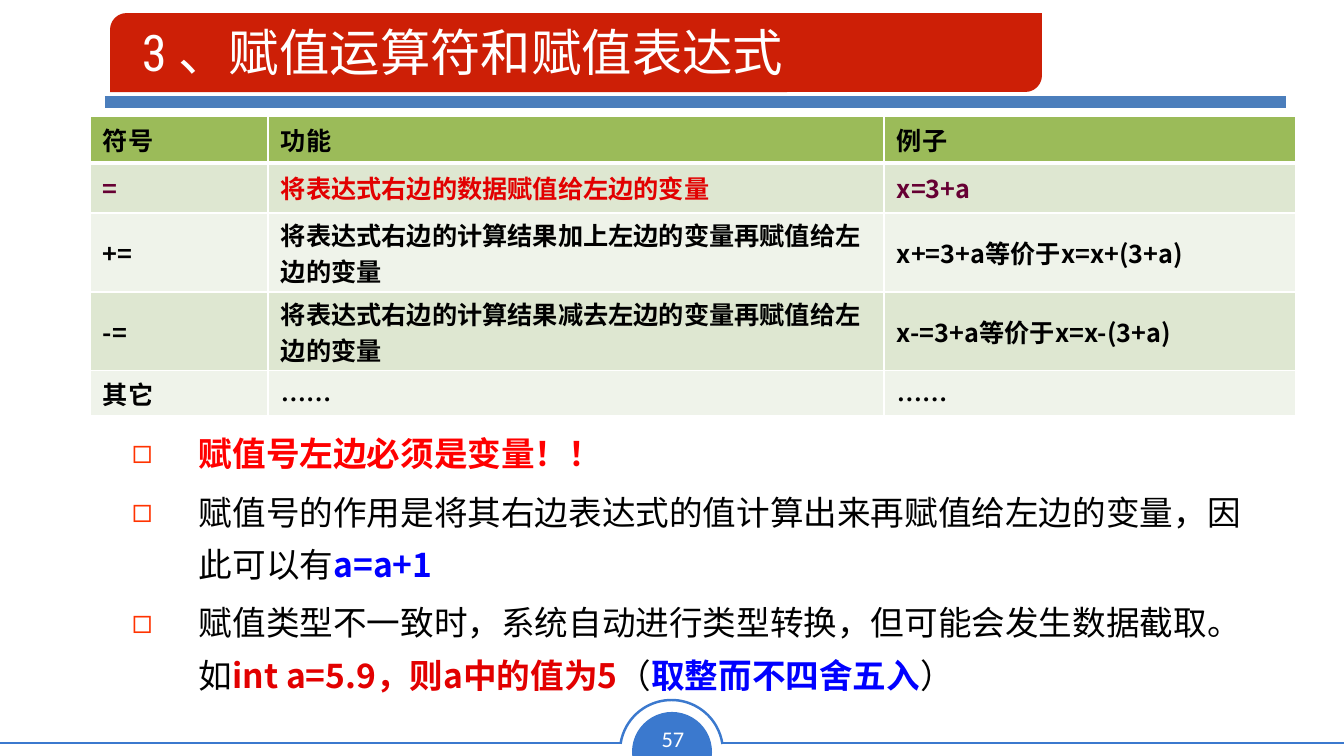
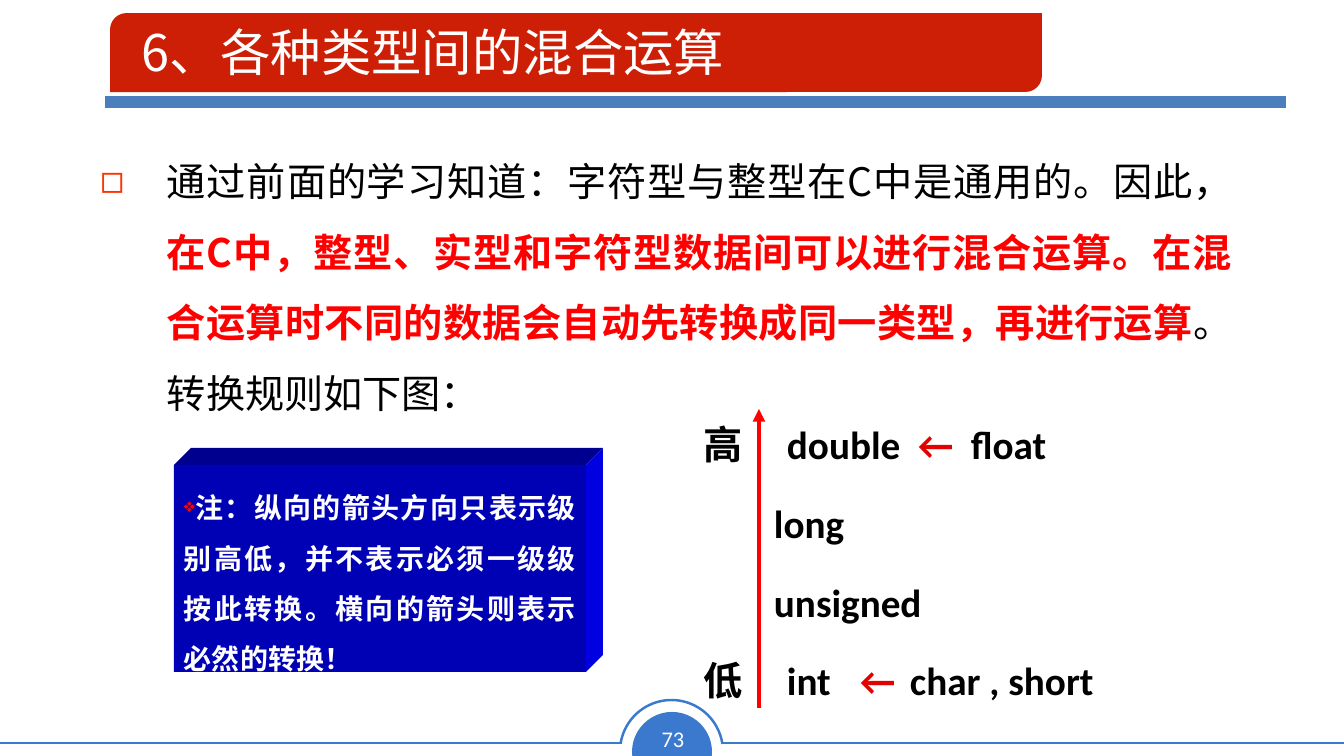
import pptx
import pptx.dml.color
import pptx.enum.dml
import pptx.enum.shapes
import pptx.enum.text
import pptx.oxml
import pptx.oxml.ns
import pptx.util

EMU_PER_PX = 914400 / 100.8
SLIDE_WIDTH, SLIDE_HEIGHT = 1344, 756
CJK_FONT = "Noto Sans CJK SC"
COLORS = {
    "white": "FFFFFF", "black": "000000", "red": "FF0000", "crimson": "E20000",
    "maroon": "660033", "blue": "0000FF", "bullet": "FF3300",
    "banner": "CD1F06", "rule": "4B7EBC", "footer": "3B79CE",
    "header_row": "9BBB59", "odd_row": "DEE7D1", "even_row": "EFF3EA",
    "note_front": "0000B4", "note_top": "00008F", "note_side": "0000E0",
}
SHAPES = pptx.enum.shapes.MSO_SHAPE
ALIGN = pptx.enum.text.PP_ALIGN
ANCHOR = pptx.enum.text.MSO_ANCHOR


def px(length):
    return pptx.util.Emu(round(length * EMU_PER_PX))


def rgb(name):
    return pptx.dml.color.RGBColor.from_string(COLORS[name])


def make_element(tag, **attributes):
    element = pptx.oxml.parse_xml(f"<a:{tag} {pptx.oxml.ns.nsdecls('a')}/>")
    for key, value in attributes.items():
        element.set(key, str(value))
    return element


def make_color(tag, color):
    """Return an element that wraps one sRGB colour."""
    element = make_element(tag)
    element.append(make_element("srgbClr", val=COLORS[color]))
    return element


def place(shape, left, top, width, height):
    shape.left, shape.top = px(left), px(top)
    shape.width, shape.height = px(width), px(height)


def paint(shape, fill=None, line=None, line_width=1.75):
    shape.shadow.inherit = False
    if fill:
        shape.fill.solid()
        shape.fill.fore_color.rgb = rgb(fill)
    else:
        shape.fill.background()
    if line:
        shape.line.color.rgb = rgb(line)
        shape.line.width = pptx.util.Pt(line_width)
    else:
        shape.line.fill.background()


def add_shape(slide, kind, box, adjustments=(), **style):
    shape = slide.shapes.add_shape(kind, *map(px, box))
    for index, value in enumerate(adjustments):
        shape.adjustments[index] = value
    paint(shape, **style)
    return shape


def add_polygon(slide, points, fill):
    corners = [(px(x), px(y)) for x, y in points]
    builder = slide.shapes.build_freeform(*corners[0])
    builder.add_line_segments(corners[1:], close=True)
    paint(builder.convert_to_shape(), fill=fill)


def add_line(slide, start, end, color, width, arrow=False):
    line = slide.shapes.add_connector(
        pptx.enum.shapes.MSO_CONNECTOR.STRAIGHT, *map(px, start + end))
    line.line.color.rgb = rgb(color)
    line.line.width = pptx.util.Pt(width)
    if arrow:
        line.line._get_or_add_ln().append(make_element("tailEnd", type="triangle"))
    line.element.spPr.append(make_element("effectLst"))


def set_frame(frame, insets=(10, 5, 10, 5), anchor=ANCHOR.TOP, wrap=True):
    frame.auto_size = pptx.enum.text.MSO_AUTO_SIZE.NONE
    frame.word_wrap = wrap
    frame.vertical_anchor = anchor
    (frame.margin_left, frame.margin_top,
     frame.margin_right, frame.margin_bottom) = map(px, insets)


def add_text(paragraph, text, size=18, color="black", bold=False, font=CJK_FONT):
    run = paragraph.add_run()
    run.text = text
    run.font.size = pptx.util.Pt(size)
    run.font.bold = bold
    run.font.color.rgb = rgb(color)
    run.font.name = font
    latin = run.font._element.find(pptx.oxml.ns.qn("a:latin"))
    latin.addnext(make_element("ea", typeface=CJK_FONT))


def set_bullet(paragraph, character, color, indent=0, percent=100):
    properties = paragraph._p.get_or_add_pPr()
    properties.set("marL", str(px(indent)))
    properties.set("indent", str(-px(indent)))
    properties.append(make_color("buClr", color))
    properties.append(make_element("buSzPct", val=percent * 1000))
    properties.append(make_element("buChar", char=character))


def set_tabs(paragraph, stops):
    tabs = make_element("tabLst")
    for stop in stops:
        tabs.append(make_element("tab", pos=px(stop), algn="l"))
    paragraph._p.get_or_add_pPr().append(tabs)


def next_paragraph(frame, index, line_height, space_before=0, align=ALIGN.LEFT):
    paragraph = frame.add_paragraph() if index else frame.paragraphs[0]
    paragraph.alignment = align
    paragraph.line_spacing = pptx.util.Pt(line_height)
    paragraph.space_before = pptx.util.Pt(space_before if index else 0)
    return paragraph


def add_footer(slide, number):
    line_y = 743
    add_shape(slide, SHAPES.CHORD, (632, 712, 80, 80), (35.77, 153.29),
              fill="footer").rotation = 112.4
    for start, end in ((723, SLIDE_WIDTH), (0, 621)):
        add_line(slide, (start, line_y), (end, line_y), "footer", 1.75)
    add_shape(slide, SHAPES.ARC, (620, 700, 103, 103), (113.17, 210.98), line="footer")
    box = slide.shapes.add_textbox(*map(px, (650, 720, 46, 37)))
    set_frame(box.text_frame, (0, 0, 0, 0), ANCHOR.MIDDLE, wrap=False)
    paragraph = box.text_frame.paragraphs[0]
    paragraph.alignment = ALIGN.CENTER
    add_text(paragraph, str(number), size=16, color="white", font="Calibri")


def add_slide(presentation, title, number, title_font=CJK_FONT):
    """Add a slide with the shared banner, rule, title and page number."""
    slide = presentation.slides.add_slide(presentation.slide_layouts[1])
    add_footer(slide, number)
    add_line(slide, (105, 102), (1286, 102), "rule", 8)
    add_shape(slide, SHAPES.ROUND_2_DIAG_RECTANGLE, (110, 13, 932, 79), (0.21, 0),
              fill="banner")
    heading = slide.shapes.title
    place(heading, 142, 20, 942, 62)
    set_frame(heading.text_frame, (0, 0, 0, 0), ANCHOR.MIDDLE)
    paragraph = heading.text_frame.paragraphs[0]
    paragraph.alignment = ALIGN.LEFT
    add_text(paragraph, title, size=36, color="white", font=title_font)
    heading.element.getparent().append(heading.element)
    return slide


def fill_body(slide, box, items, size, line_height, align=ALIGN.LEFT):
    """Fill the body placeholder; each item is a list of (text, colour, bold)."""
    body = slide.placeholders[1]
    place(body, *box)
    set_frame(body.text_frame)
    for index, item in enumerate(items):
        paragraph = next_paragraph(body.text_frame, index, line_height, size * 0.2, align)
        set_bullet(paragraph, "◻", "bullet", indent=67)
        for text, color, bold in item:
            add_text(paragraph, text, size=size, color=color, bold=bold)


def set_borders(cell, top, bottom):
    properties = cell._tc.get_or_add_tcPr()
    sides = (("lnL", 1), ("lnR", 1), ("lnT", top), ("lnB", bottom))
    for index, (tag, width) in enumerate(sides):
        border = make_element(tag, w=pptx.util.Pt(width))
        border.append(make_color("solidFill", "white"))
        properties.insert(index, border)


def add_operator_table(slide):
    columns = (178, 616, 412)
    heights = (47, 50, 79, 79, 45)
    rows = (
        ("符号", "功能", "例子"),
        ("=", "将表达式右边的数据赋值给左边的变量", "x=3+a"),
        ("+=", "将表达式右边的计算结果加上左边的变量再赋值给左边的变量",
         "x+=3+a等价于x=x+(3+a)"),
        ("-=", "将表达式右边的计算结果减去左边的变量再赋值给左边的变量",
         "x-=3+a等价于x=x-(3+a)"),
        ("其它", "……", "……"),
    )
    assignment_colors = ("maroon", "crimson", "maroon")
    table = slide.shapes.add_table(
        len(rows), len(columns),
        *map(px, (90, 116, sum(columns), sum(heights)))).table
    table.horz_banding = False
    for column, width in zip(table.columns, columns):
        column.width = px(width)
    for row_index, texts in enumerate(rows):
        table.rows[row_index].height = px(heights[row_index])
        row_fill = "odd_row" if row_index % 2 else "even_row"
        font = "Times New Roman" if row_index in (0, len(rows) - 1) else CJK_FONT
        for column_index, text in enumerate(texts):
            cell = table.cell(row_index, column_index)
            cell.fill.solid()
            cell.fill.fore_color.rgb = rgb(row_fill if row_index else "header_row")
            set_borders(cell, top=3 if row_index == 1 else 1,
                        bottom=1 if row_index else 3)
            cell.vertical_anchor = ANCHOR.MIDDLE
            cell.margin_left = cell.margin_right = px(13)
            cell.margin_top = cell.margin_bottom = px(3)
            color = assignment_colors[column_index] if row_index == 1 else "black"
            add_text(cell.text_frame.paragraphs[0], text, color=color, bold=True, font=font)


def add_type_ladder(slide):
    box = slide.shapes.add_textbox(*map(px, (694, 392, 614, 330)))
    set_frame(box.text_frame, wrap=False)
    levels = (
        ((83, 214, 267), "高\tdouble\t", "←", "\tfloat"),
        ((70,), "\tlong"),
        ((70,), "\tunsigned"),
        ((83, 156, 206), "低\tint\t", "←", "\tchar , short"),
    )
    for index, (stops, *texts) in enumerate(levels):
        paragraph = next_paragraph(box.text_frame, index, 50.5, 5.6)
        set_tabs(paragraph, stops)
        for text in texts:
            add_text(paragraph, text, size=28, bold=True, font="Calibri",
                     color="crimson" if text == "←" else "black")
    add_line(slide, (759, 708), (759, 409), "red", 3, arrow=True)


def add_note(slide, text):
    """Draw a box with depth and set the note on its front face."""
    left, top, right, bottom, depth = 174, 465, 586, 672, 17
    add_polygon(slide, ((left, top), (left + depth, top - depth),
                        (right + depth, top - depth), (right, top)), "note_top")
    add_polygon(slide, ((right, top), (right + depth, top - depth),
                        (right + depth, bottom - depth), (right, bottom)), "note_side")
    front = add_shape(slide, SHAPES.RECTANGLE,
                      (left, top, right - left, bottom - top), fill="note_front")
    set_frame(front.text_frame, (10, 9, 10, 0))
    paragraph = next_paragraph(front.text_frame, 0, 36, align=ALIGN.JUSTIFY)
    set_bullet(paragraph, "❖", "red", percent=70)
    add_text(paragraph, text, size=20, color="white", bold=True)


def add_assignment_slide(presentation):
    slide = add_slide(presentation, "3 、赋值运算符和赋值表达式", 57, "Roboto Condensed")
    add_operator_table(slide)
    fill_body(slide, (122, 416, 1153, 320), (
        [("赋值号左边必须是变量！！", "red", True)],
        [("赋值号的作用是将其右边表达式的值计算出来再赋值给左边的变量，因此可以有", "black", False),
         ("a=a+1", "blue", True)],
        [("赋值类型不一致时，系统自动进行类型转换，但可能会发生数据截取。如", "black", False),
         ("int a=5.9，则a中的值为5", "crimson", True),
         ("（", "black", False),
         ("取整而不四舍五入", "blue", True),
         ("）", "black", False)],
    ), size=24, line_height=37.2)


def add_conversion_slide(presentation):
    slide = add_slide(presentation, "6、各种类型间的混合运算", 73)
    fill_body(slide, (90, 129, 1153, 300), (
        [("通过前面的学习知道：字符型与整型在C中是通用的。因此，", "black", False),
         ("在C中，整型、实型和字符型数据间可以进行混合运算。"
          "在混合运算时不同的数据会自动先转换成同一类型，再进行运算", "red", True),
         ("。转换规则如下图：", "black", False)],
    ), size=28, line_height=50.4, align=ALIGN.JUSTIFY)
    add_type_ladder(slide)
    add_note(slide, "注：纵向的箭头方向只表示级别高低，并不表示必须一级级按此转换。"
                    "横向的箭头则表示必然的转换！")


def main():
    presentation = pptx.Presentation()
    presentation.slide_width = px(SLIDE_WIDTH)
    presentation.slide_height = px(SLIDE_HEIGHT)
    add_assignment_slide(presentation)
    add_conversion_slide(presentation)
    presentation.save("out.pptx")


if __name__ == "__main__":
    main()
